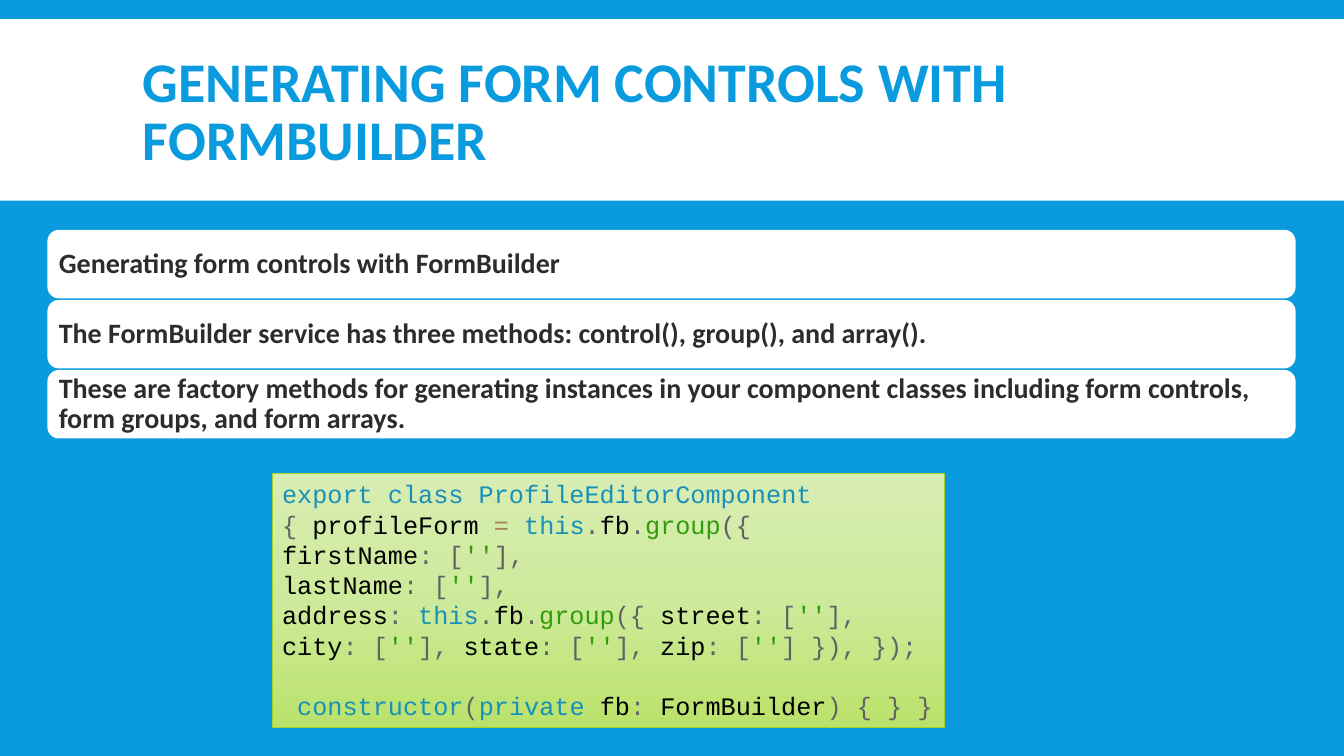
from copy import deepcopy
from pptx import Presentation
from pptx.dml.color import RGBColor
from pptx.enum.shapes import MSO_SHAPE
from pptx.enum.text import MSO_ANCHOR, PP_ALIGN
from pptx.util import Inches, Pt

HUES = {
    "blue": "099BDD", "white": "FFFFFF", "dark": "2C2C2C", "edge": "A5D028",
    "key": "1990B8", "mark": "5F6364", "name": "000000",
    "sign": "A67F59", "call": "2F9C0A",
    "top": "D8EDB3", "mid": "CDEA9A", "low": "BAE26A",
}


def hue(key):
    return RGBColor.from_string(HUES[key])


def style(run, face, size, key, bold=False):
    run.font.name = face
    run.font.size = Pt(size)
    run.font.bold = bold
    run.font.color.rgb = hue(key)


deck = Presentation()
deck.slide_width, deck.slide_height = Inches(13.33), Inches(7.5)
slide = deck.slides.add_slide(deck.slide_layouts[6])
slide.background.fill.solid()
slide.background.fill.fore_color.rgb = hue("blue")

# Title band
band = slide.shapes.add_shape(
    MSO_SHAPE.RECTANGLE, 0, Inches(0.19), Inches(13.33), Inches(1.8))
band.shadow.inherit = False
band.fill.solid()
band.fill.fore_color.rgb = hue("white")
band.line.fill.background()

title = slide.shapes.add_textbox(
    Inches(1.32), Inches(0.31), Inches(10.7), Inches(1.65))
frame = title.text_frame
frame.word_wrap = True
frame.vertical_anchor = MSO_ANCHOR.MIDDLE
frame.text = "GENERATING FORM CONTROLS WITH FORMBUILDER"
frame.paragraphs[0].line_spacing = 0.85
style(frame.paragraphs[0].runs[0], "Calibri", 40, "blue", True)

# Three points, stacked
POINTS = [
    "Generating form controls with FormBuilder",
    "The FormBuilder service has three methods: control(), group(), and array().",
    "These are factory methods for generating instances in your component "
    "classes including form controls, form groups, and form arrays.",
]
for row, point in enumerate(POINTS):
    card = slide.shapes.add_shape(
        MSO_SHAPE.ROUNDED_RECTANGLE, Inches(0.47), Inches(2.28 + 0.695 * row),
        Inches(12.38), Inches(0.68))
    card.shadow.inherit = False
    card.fill.solid()
    card.fill.fore_color.rgb = hue("white")
    card.line.fill.background()
    frame = card.text_frame
    frame.word_wrap = True
    frame.vertical_anchor = MSO_ANCHOR.MIDDLE
    frame.margin_left = frame.margin_right = Inches(0.08)
    frame.margin_top = frame.margin_bottom = Inches(0.04)
    frame.text = point
    para = frame.paragraphs[0]
    para.alignment = PP_ALIGN.LEFT
    para.line_spacing = 0.9
    style(para.runs[0], "Calibri", 20, "dark", True)

# Code panel with a three-stop gradient
panel = slide.shapes.add_shape(
    MSO_SHAPE.RECTANGLE, Inches(2.7), Inches(4.7), Inches(6.67), Inches(2.52))
panel.shadow.inherit = False
panel.line.color.rgb = hue("edge")
panel.line.width = Pt(0.75)
panel.fill.gradient()
panel.fill.gradient_angle = 270
first = panel.fill._fill._gradFill.gsLst[0]
first.addnext(deepcopy(first))
for stop, key, place in zip(
        panel.fill.gradient_stops, ("top", "mid", "low"), (0, 0.5, 1)):
    stop.color.rgb = hue(key)
    stop.position = place

# Code, as coloured pieces line by line
FIELD = [(": [", "mark"), ("''", "call"), ("],", "mark")]
GROUP = [("this", "key"), (".", "mark"), ("fb", "name"), (".", "mark"),
         ("group", "call"), ("({", "mark")]
BREAK = ("\n", None)
CODE = [
    [("export class ProfileEditorComponent ", "key"), BREAK, ("{ ", "mark"),
     ("profileForm ", "name"), ("= ", "sign"), *GROUP],
    [("firstName", "name"), *FIELD],
    [("lastName", "name"), *FIELD],
    [("address", "name"), (": ", "mark"), *GROUP, (" street", "name"), *FIELD],
    [("city", "name"), *FIELD, (" state", "name"), *FIELD,
     (" zip", "name"), *FIELD[:2], ("] }), });", "mark")],
    [(" ", "name"), ("constructor", "key"), ("(", "mark"), ("private", "key"),
     (" fb", "name"), (": ", "mark"), ("FormBuilder", "name"),
     (") { } }", "mark")],
]
frame = panel.text_frame
frame.word_wrap = True
frame.vertical_anchor = MSO_ANCHOR.TOP
for row, line in enumerate(CODE):
    para = frame.add_paragraph() if row else frame.paragraphs[0]
    para.alignment = PP_ALIGN.LEFT
    for piece in line:
        if piece == BREAK:
            para.add_line_break()
            continue
        run = para.add_run()
        run.text = piece[0]
        style(run, "Courier New", 18, piece[1])
para.space_before = Pt(21.6)

deck.save("out.pptx")
